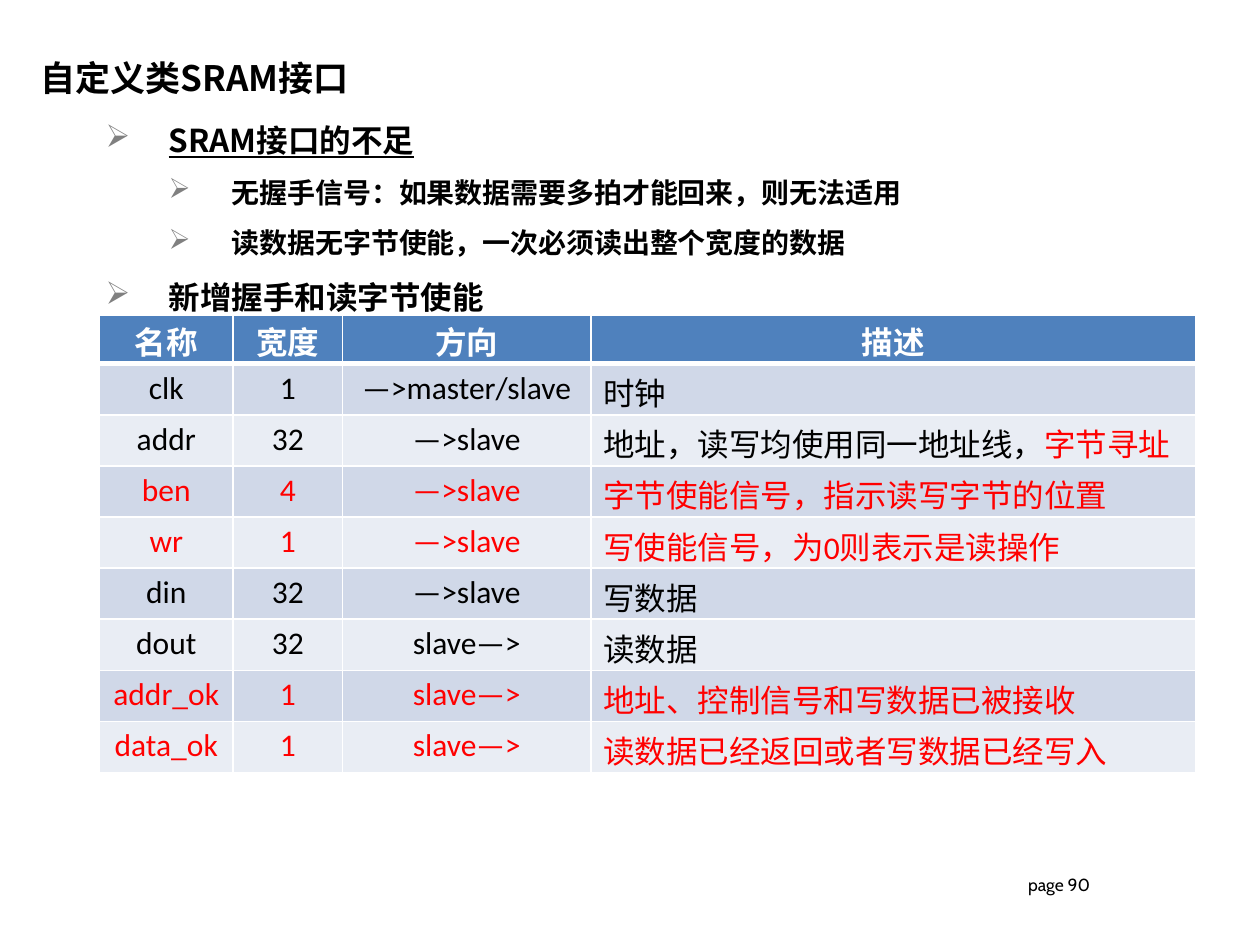
from typing import NamedTuple

from lxml import etree
from pptx import Presentation
from pptx import util as u
from pptx.dml.color import RGBColor
from pptx.enum import text
from pptx.oxml import ns

COLORS = {
    "black": "000000",
    "white": "FFFFFF",
    "red": "FF0000",
    "gray": "808080",
    "header": "4F81BD",
    "band_dark": "D0D8E8",
    "band_light": "E9EDF4",
}
CJK = "Noto Sans CJK SC"
TABS = [46 + 72 * i for i in range(8)]
COLUMNS = [76.3, 62.6, 141.9, 345.6]
HEADER_HEIGHT = 28
ROW_HEIGHT = 29.2


class Bullet(NamedTuple):
    text: str
    level: int
    size: float
    underline: bool


class Signal(NamedTuple):
    name: str
    width: str
    direction: str
    description: str
    color: str = "black"
    remark: str = ""


BULLETS = [
    Bullet("SRAM接口的不足", 1, 18, True),
    Bullet("无握手信号：如果数据需要多拍才能回来，则无法适用", 2, 16, False),
    Bullet("读数据无字节使能，一次必须读出整个宽度的数据", 2, 16, False),
    Bullet("新增握手和读字节使能", 1, 18, True),
]
HEADINGS = ["名称", "宽度", "方向", "描述"]
SIGNALS = [
    Signal("clk", "1", "—>master/slave", "时钟"),
    Signal("addr", "32", "—>slave", "地址，读写均使用同一地址线，", remark="字节寻址"),
    Signal("ben", "4", "—>slave", "字节使能信号，指示读写字节的位置", "red"),
    Signal("wr", "1", "—>slave", "写使能信号，为0则表示是读操作", "red"),
    Signal("din", "32", "—>slave", "写数据"),
    Signal("dout", "32", "slave—>", "读数据"),
    Signal("addr_ok", "1", "slave—>", "地址、控制信号和写数据已被接收", "red"),
    Signal("data_ok", "1", "slave—>", "读数据已经返回或者写数据已经写入", "red"),
]


def rgb(name: str) -> RGBColor:
    return RGBColor.from_string(COLORS[name])


def sub(parent, tag: str, **attrs):
    return etree.SubElement(parent, ns.qn(tag), attrs)


def add_text(p, content: str, *, size: float, font: str = CJK, color: str = "black",
             bold: bool = False, underline: bool = False, align=None) -> None:
    r = p.add_run()
    r.text = content
    r.font.size = u.Pt(size)
    r.font.name = font
    r.font.bold = bold
    r.font.underline = underline
    r.font.color.rgb = rgb(color)
    sub(r._r.get_or_add_rPr(), "a:ea", typeface=CJK)
    if align is not None:
        p.alignment = align


def add_box(s, left: float, top: float, width: float, height: float, anchor):
    sp = s.shapes.add_textbox(u.Pt(left), u.Pt(top), u.Pt(width), u.Pt(height))
    tf = sp.text_frame
    tf.word_wrap = True
    tf.vertical_anchor = anchor
    return tf


def add_bullet(p, bullet: Bullet) -> None:
    p.level = bullet.level
    pPr = p._p.get_or_add_pPr()
    pPr.set("marL", str(u.Pt(36 + 36 * bullet.level)))
    pPr.set("indent", str(u.Pt(-36)))
    sub(sub(pPr, "a:buClr"), "a:srgbClr", val=COLORS["gray"])
    sub(pPr, "a:buChar", char="➢")
    tabs = sub(pPr, "a:tabLst")
    for pos in TABS:
        sub(tabs, "a:tab", pos=str(u.Pt(pos)), algn="l")
    p.line_spacing = 1.5
    add_text(p, bullet.text, size=bullet.size, bold=True, underline=bullet.underline)


def style_cell(cell, fill: str, top: float, bottom_line: float = 1) -> None:
    cell.margin_top, cell.margin_bottom = u.Pt(top), u.Pt(0)
    tcPr = cell._tc.get_or_add_tcPr()
    for side, width in (("L", 1), ("R", 1), ("T", 1), ("B", bottom_line)):
        ln = sub(tcPr, f"a:ln{side}", w=str(u.Pt(width)))
        sub(sub(ln, "a:solidFill"), "a:srgbClr", val=COLORS["white"])
    cell.fill.solid()
    cell.fill.fore_color.rgb = rgb(fill)


def add_signal_table(s) -> None:
    height = HEADER_HEIGHT + ROW_HEIGHT * len(SIGNALS)
    table = s.shapes.add_table(len(SIGNALS) + 1, len(COLUMNS), u.Pt(56.9), u.Pt(179.9),
                               u.Pt(sum(COLUMNS)), u.Pt(height)).table
    for column, width in zip(table.columns, COLUMNS):
        column.width = u.Pt(width)
    for i, row in enumerate(table.rows):
        row.height = u.Pt(ROW_HEIGHT if i else HEADER_HEIGHT)

    center = text.PP_ALIGN.CENTER
    for cell, heading in zip(table.rows[0].cells, HEADINGS):
        style_cell(cell, "header", 2, 3)
        add_text(cell.text_frame.paragraphs[0], heading, size=18, font="Calibri",
                 color="white", bold=True, align=center)

    for i, signal in enumerate(SIGNALS, 1):
        for j, content in enumerate(signal[:4]):
            cell = table.cell(i, j)
            style_cell(cell, "band_dark" if i % 2 else "band_light", 3.1)
            p = cell.text_frame.paragraphs[0]
            add_text(p, content, size=18, font="Calibri", color=signal.color,
                     align=center if j < 3 else text.PP_ALIGN.LEFT)
        if signal.remark:
            add_text(p, signal.remark, size=18, font="Calibri", color="red")


def main() -> None:
    prs = Presentation()
    prs.slide_width, prs.slide_height = u.Pt(720), u.Pt(540)
    s = prs.slides.add_slide(prs.slide_layouts[6])

    tf = add_box(s, 462.2, 491, 167.8, 28.8, text.MSO_ANCHOR.MIDDLE)
    add_text(tf.paragraphs[0], "page 90", size=10, font="Cabin",
             align=text.PP_ALIGN.RIGHT)

    tf = add_box(s, 17.3, 27.4, 422.6, 31.7, text.MSO_ANCHOR.BOTTOM)
    tf.margin_left = tf.margin_right = u.Pt(5.8)
    tf.margin_top = tf.margin_bottom = u.Pt(2.9)
    add_text(tf.paragraphs[0], "自定义类SRAM接口", size=20, bold=True)

    tf = add_box(s, 17.3, 54.7, 676.1, 131, text.MSO_ANCHOR.TOP)
    tf.auto_size = text.MSO_AUTO_SIZE.SHAPE_TO_FIT_TEXT
    for i, bullet in enumerate(BULLETS):
        add_bullet(tf.add_paragraph() if i else tf.paragraphs[0], bullet)

    add_signal_table(s)
    prs.save("out.pptx")


if __name__ == "__main__":
    main()
